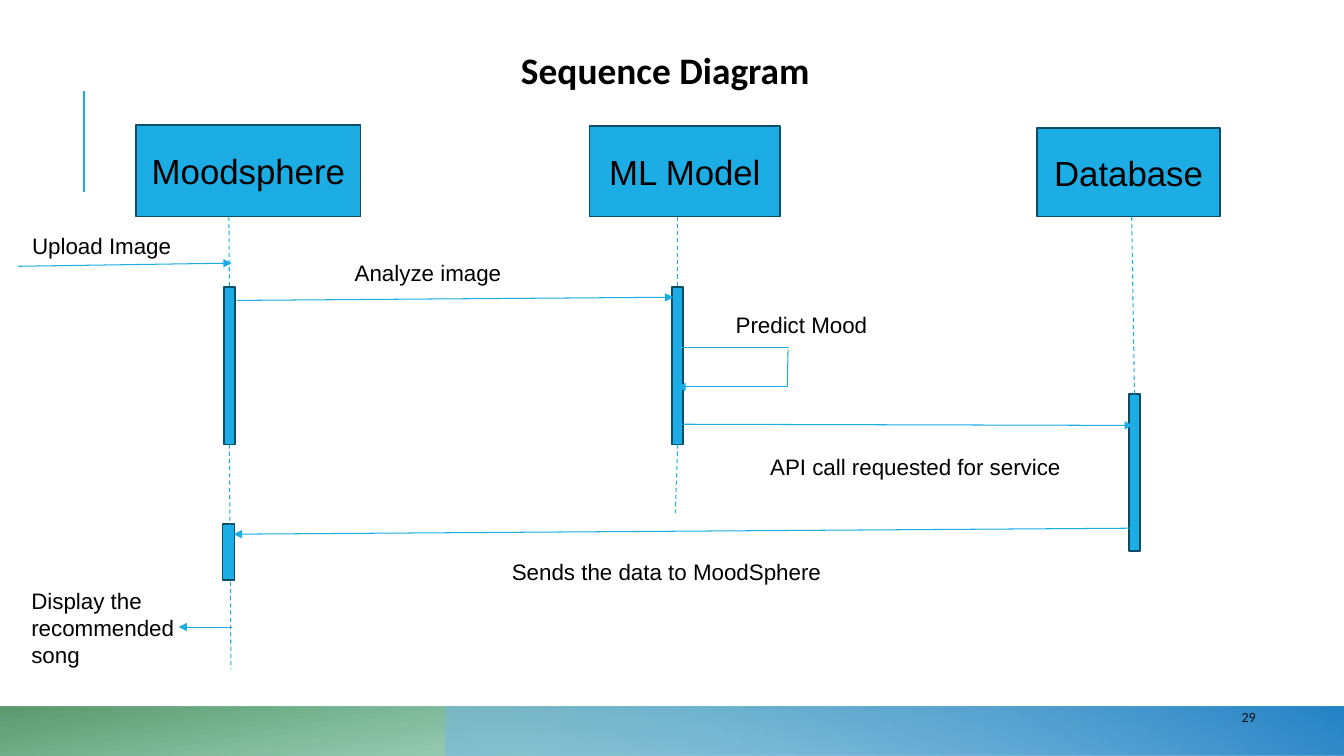
from dataclasses import dataclass

from lxml.etree import SubElement
from pptx import Presentation
from pptx.dml.color import RGBColor
from pptx.enum.dml import MSO_LINE_DASH_STYLE as Dash
from pptx.enum.shapes import MSO_CONNECTOR_TYPE as Connector, MSO_SHAPE as Shape
from pptx.enum.text import MSO_ANCHOR as Anchor, PP_ALIGN as Align
from pptx.oxml.ns import qn
from pptx.util import Cm, Pt

TOP, BOTTOM = 0, 2


@dataclass(frozen=True)
class Theme:
    accent: str = "1CADE4"
    outline: str = "0C4C64"
    text: str = "000000"
    page_number: str = "0D0D0D"
    # Gradient stops: position %, colour, opacity %
    green_band: tuple = ((14, "42BA97", 28), (100, "3E8853", 85))
    blue_band: tuple = ((9, "75B6E5", 55), (99, "2683C6", 100))
    body_font: str = "Arial"
    heading_font: str = "Calibri"
    title_size: float = 26.7
    participant_size: float = 24.9
    label_size: float = 16
    page_size: float = 10


@dataclass(frozen=True)
class Box:
    left: float
    top: float
    width: float
    height: float

    def inner(self, left, top, width, height):
        return Box(self.left + left, self.top + top, width, height)

    def point(self, x, y):
        return self.left + x, self.top + y

    def lengths(self):
        return Cm(self.left), Cm(self.top), Cm(self.width), Cm(self.height)


THEME = Theme()


def rgb(color):
    return RGBColor.from_string(color)


# Building parts
def write(frame, text, size, font=THEME.body_font, color=THEME.text, bold=False,
          insets=(0.33, 0.18)):
    frame.word_wrap = True
    frame.margin_left = frame.margin_right = Cm(insets[0])
    frame.margin_top = frame.margin_bottom = Cm(insets[1])
    run = frame.paragraphs[0].add_run()
    run.text = text
    run.font.name, run.font.size, run.font.bold = font, Pt(size), bold
    run.font.color.rgb = rgb(color)


def add_text(slide, box, text, size, **style):
    write(slide.shapes.add_textbox(*box.lengths()).text_frame, text, size, **style)


def add_block(slide, box):
    block = slide.shapes.add_shape(Shape.RECTANGLE, *box.lengths())
    block.shadow.inherit = False
    block.fill.solid()
    block.fill.fore_color.rgb = rgb(THEME.accent)
    block.line.color.rgb = rgb(THEME.outline)
    block.line.width = Pt(1.25)
    return block


def add_line(slide, start, end, width=0.75, dashed=False, arrow=False):
    line = slide.shapes.add_connector(
        Connector.STRAIGHT, *(Cm(value) for value in (*start, *end)))
    line.line.color.rgb = rgb(THEME.accent)
    line.line.width = Pt(width)
    if dashed:
        line.line.dash_style = Dash.DASH
    properties = line.element.spPr
    if arrow:
        SubElement(properties.find(qn("a:ln")), qn("a:tailEnd"), type="triangle")
    SubElement(properties, qn("a:effectLst"))
    return line


def add_band(slide, box, stops, angle):
    band = slide.shapes.add_shape(Shape.RECTANGLE, *box.lengths())
    band.shadow.inherit = False
    band.line.fill.background()
    band.fill.gradient()
    band.fill.gradient_angle = angle
    for stop, (position, color, opacity) in zip(band.fill.gradient_stops, stops):
        stop.position = position / 100
        stop.color.rgb = rgb(color)
    colors = band.element.spPr.iter(qn("a:srgbClr"))
    for color, (position, name, opacity) in zip(list(colors), stops):
        SubElement(color, qn("a:alpha"), val=str(opacity * 1000))


# Slide regions
def draw_footer(slide, box):
    add_band(slide, box, THEME.green_band, 100)
    blue_left = 11.23
    add_band(slide, box.inner(blue_left, 0, box.width - blue_left, box.height),
             THEME.blue_band, 60)


def draw_page_number(slide, box):
    add_text(slide, box.inner(31.04, -0.08, 1.55, 0.69), "29", THEME.page_size,
             font=THEME.heading_font, color=THEME.page_number, insets=(0.25, 0.13))


def draw_heading(slide, box):
    add_line(slide, box.point(2.11, 4.83), box.point(2.11, 2.29), width=1.5)
    add_text(slide, box.inner(12.8, 0.86, 9.45, 1.22), "Sequence Diagram",
             THEME.title_size, font=THEME.heading_font, bold=True, insets=(0.33, 0.33))


def draw_participants(slide, box):
    heads_bottom = 2.31
    bar_width, bar_height = 0.28, 3.96
    # Name, head left, top and width, lifeline x, bar middle and top, lifeline end
    participants = (
        ("Moodsphere", 2.97, 0, 5.66, 5.31, 5.32, 4.09, (5.36, 13.72)),
        ("Database", 25.68, 0.08, 4.6, 28.06, 28.13, 6.78, None),
        ("ML Model", 14.4, 0.03, 4.8, 16.62, 16.62, 4.09, (16.56, 9.78)),
    )
    add_block(slide, box.inner(5.15, 10.06, 0.3, 1.4))
    for name, left, top, width, line_x, middle, bar_top, line_end in participants:
        head = add_block(slide, box.inner(left, top, width, heads_bottom - top))
        write(head.text_frame, name, THEME.participant_size)
        head.text_frame.vertical_anchor = Anchor.MIDDLE
        head.text_frame.paragraphs[0].alignment = Align.CENTER
        bar = add_block(slide, box.inner(middle - bar_width / 2, bar_top,
                                         bar_width, bar_height))
        upper = add_line(slide, box.point(line_x, heads_bottom),
                         box.point(middle, bar_top), dashed=True)
        upper.end_connect(bar, TOP)
        if line_end:
            lower = add_line(slide, box.point(middle, bar_top + bar_height),
                             box.point(*line_end), dashed=True)
            lower.begin_connect(bar, BOTTOM)


def draw_messages(slide, box):
    # Start, end, arrowhead
    arrows = (
        ((0, 3.56), (5.38, 3.48), True),
        ((5.51, 4.42), (16.51, 4.34), True),
        ((16.71, 5.61), (19.43, 5.61), False),
        ((19.4, 5.66), (19.38, 6.6), False),
        ((19.38, 6.6), (16.61, 6.6), True),
        ((16.74, 7.54), (28.09, 7.57), True),
        ((28.01, 10.16), (5.43, 10.31), True),
        ((5.38, 12.65), (4.04, 12.65), True),
    )
    for start, end, arrow in arrows:
        add_line(slide, box.point(*start), box.point(*end), arrow=arrow)

    # Text, left, top, width, height
    labels = (
        ("Upload Image", 0.02, 2.51, 4.27, 1.02),
        ("Analyze image", 8.15, 3.2, 5.69, 1.02),
        ("Predict Mood", 17.75, 4.52, 4.27, 1.02),
        ("API call requested for service", 18.62, 8.08, 8.05, 1.02),
        ("Sends the data to MoodSphere", 12.11, 10.74, 9.86, 1.02),
        ("Display the recommended song", 0, 11.46, 4.57, 2.39),
    )
    for text, *place in labels:
        add_text(slide, box.inner(*place), text, THEME.label_size)


def main():
    deck = Presentation()
    deck.slide_width, deck.slide_height = Cm(33.87), Cm(19.05)
    slide = deck.slides.add_slide(deck.slide_layouts[6])
    footer = Box(0, 17.81, 33.87, 1.24)
    diagram = Box(0.46, 3.15, 30.28, 13.85)
    draw_footer(slide, footer)
    draw_heading(slide, Box(0, 0, 33.87, 4.83))
    draw_participants(slide, diagram)
    draw_messages(slide, diagram)
    draw_page_number(slide, footer)
    deck.save("out.pptx")


if __name__ == "__main__":
    main()
